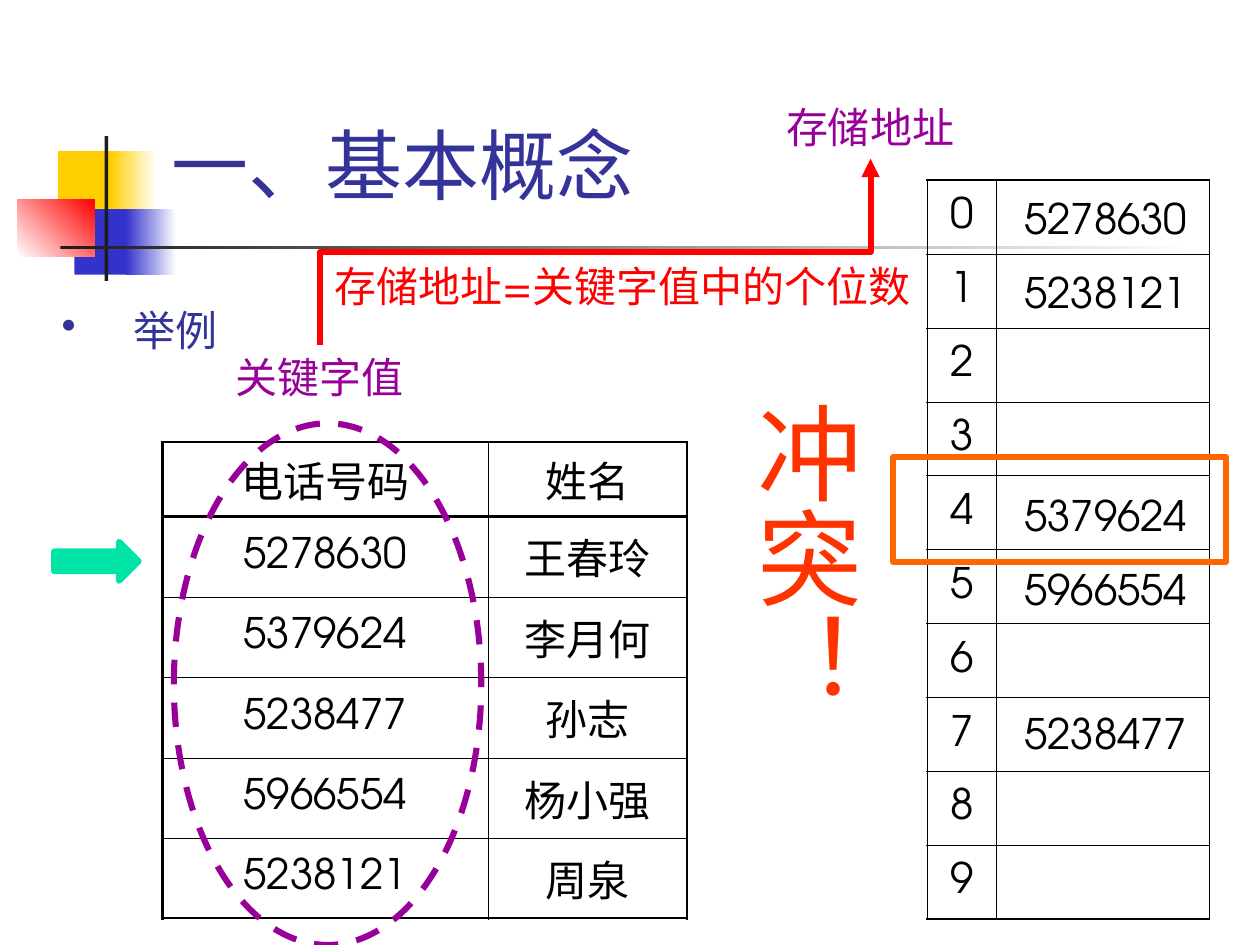
from typing import NamedTuple, Optional

from lxml import etree
from pptx import Presentation
from pptx import util as u
from pptx.dml.color import RGBColor
from pptx.enum import dml, shapes, text
from pptx.oxml.ns import qn

HUES = {
    "gold": "FFCF01", "blue": "3333CC", "red": "FF0000", "white": "FFFFFF",
    "ink": "1C1C1C", "navy": "333399", "purple": "990099", "black": "000000",
    "mint": "00E4A8", "orange": "FF6600", "alarm": "FF3300",
}
BODY, HEAD = "TeX Gyre Adventor", "Karla"
KIND, ALIGN = shapes.MSO_SHAPE, text.PP_ALIGN
MIDDLE = text.MSO_ANCHOR.MIDDLE


class Box(NamedTuple):
    x: float
    y: float
    w: float
    h: float

    def emu(self) -> list:
        return [u.Inches(v) for v in self]


class Form(NamedTuple):
    box: Box
    kind: int = KIND.RECTANGLE
    fill: Optional[str] = None
    fade: Optional[str] = None
    angle: float = 0
    line: Optional[str] = None
    dash: bool = False


class Label(NamedTuple):
    words: str
    box: Box
    hue: str
    size: float = 24
    font: str = BODY
    align: int = ALIGN.LEFT
    mid: bool = False
    wrap: bool = True
    upright: bool = False
    bullet: bool = False


class Grid(NamedTuple):
    box: Box
    cols: list
    rows: list
    cells: list
    thick: float
    thin: float
    header: bool = False


MARKS = [
    Form(Box(0.46, 1.2, 0.48, 0.52), fill="gold"),
    Form(Box(0.88, 1.2, 0.36, 0.52), fill="gold", fade="white"),
    Form(Box(0.59, 1.66, 0.46, 0.52), fill="blue"),
    Form(Box(1, 1.66, 0.4, 0.52), fill="blue", fade="white"),
    Form(Box(0.14, 1.58, 0.61, 0.46), fill="white", fade="red", angle=45),
    Form(Box(0.83, 1.08, 0.03, 1.15), fill="ink"),
    Form(Box(0.48, 1.95, 9, 0.03), fill="ink", fade="white"),
]
PHONES = Grid(
    Box(1.29, 3.51, 4.17, 3.78), [2.58, 1.58], [0.59] + [3.19 / 5] * 5,
    [("电话号码", "姓名"), ("5278630", "王春玲"), ("5379624", "李月何"),
     ("5238477", "孙志"), ("5966554", "杨小强"), ("5238121", "周泉")],
    1.47, 0.11, True)
SLOTS = Grid(
    Box(7.36, 1.43, 2.24, 5.87), [0.55, 1.69], [5.87 / 10] * 10,
    [(str(n), "") for n in range(10)], 1.08, 0.45)
STORED = {1.47: "5278630", 2.06: "5238121", 3.83: "5379624",
          4.42: "5966554", 5.56: "5238477"}
LABELS = [
    Label("举例", Box(0.39, 2.37, 9.05, 4.72), "navy", align=ALIGN.JUSTIFY, bullet=True),
    Label("一、基本概念", Box(1.26, 0.67, 8.52, 1.25), "navy", 44, HEAD, mid=True),
    Label("关键字值", Box(1.77, 2.74, 1.54, 0.5), "purple"),
    Label("存储地址", Box(6.14, 0.76, 1.54, 0.5), "purple"),
    Label("存储地址=关键字值中的个位数", Box(2.36, 2.02, 5.16, 0.5), "red", align=ALIGN.CENTER),
    Label("冲突！", Box(5.75, 3.08, 1.2, 3.07), "alarm", 60, upright=True),
] + [Label(key, Box(7.99, top, 1.57, 0.51), "black", align=ALIGN.CENTER, mid=True, wrap=False)
     for top, key in STORED.items()]
NOTES = [
    Form(Box(1.38, 3.36, 2.44, 4.14), KIND.OVAL, line="purple", dash=True),
    Form(Box(0.43, 4.3, 0.67, 0.31), KIND.RIGHT_ARROW, fill="mint", line="mint"),
    Form(Box(7.09, 3.63, 2.64, 0.83), line="orange"),
]


def tint(name: str) -> RGBColor:
    return RGBColor.from_string(HUES[name])


def write(para, words: str, hue: str, size: float = 24, font: str = BODY) -> None:
    run = para.add_run()
    run.text = words
    run.font.name = font
    run.font.size = u.Pt(size)
    run.font.color.rgb = tint(hue)


def form(slide, item: Form) -> None:
    shape = slide.shapes.add_shape(item.kind, *item.box.emu())
    shape.shadow.inherit = False
    if item.fade:
        shape.fill.gradient()
        shape.fill.gradient_angle = item.angle
        for stop, hue, pos in zip(shape.fill.gradient_stops, (item.fill, item.fade), (0, 1)):
            stop.color.rgb = tint(hue)
            stop.position = pos
    elif item.fill:
        shape.fill.solid()
        shape.fill.fore_color.rgb = tint(item.fill)
    else:
        shape.fill.background()
    if item.line:
        shape.line.color.rgb = tint(item.line)
        shape.line.width = u.Pt(3.5)
    else:
        shape.line.fill.background()
    if item.dash:
        shape.line.dash_style = dml.MSO_LINE.DASH


def label(slide, item: Label) -> None:
    frame = slide.shapes.add_textbox(*item.box.emu()).text_frame
    frame.word_wrap = item.wrap
    if item.mid:
        frame.vertical_anchor = MIDDLE
    if item.upright:
        frame._txBody.bodyPr.set("vert", "eaVert")
        frame.margin_left = frame.margin_right = u.Inches(0.05)
        frame.margin_top = frame.margin_bottom = u.Inches(0.1)
    para = frame.paragraphs[0]
    para.alignment = item.align
    if item.bullet:
        props = para._p.get_or_add_pPr()
        props.set("marL", str(u.Inches(0.57)))
        props.set("indent", str(-u.Inches(0.57)))
        etree.SubElement(props, qn("a:buChar")).set("char", "•")
    write(para, item.words, item.hue, item.size, item.font)


def edge(cell, side: str, width: float) -> None:
    line = etree.SubElement(cell._tc.get_or_add_tcPr(), qn(f"a:ln{side}"))
    line.set("w", str(u.Pt(width)))
    fill = etree.SubElement(line, qn("a:solidFill"))
    etree.SubElement(fill, qn("a:srgbClr")).set("val", HUES["black"])


def grid(slide, item: Grid) -> None:
    high, wide = len(item.rows), len(item.cols)
    table = slide.shapes.add_table(high, wide, *item.box.emu()).table
    table.first_row = table.horz_banding = False
    for col, width in zip(table.columns, item.cols):
        col.width = u.Inches(width)
    for r, size in enumerate(item.rows):
        table.rows[r].height = u.Inches(size)
        for c, words in enumerate(item.cells[r]):
            cell = table.cell(r, c)
            outer = {"L": c == 0, "R": c == wide - 1,
                     "T": r == 0 or (item.header and r == 1),
                     "B": r == high - 1 or (item.header and r == 0)}
            for side, bold in outer.items():
                edge(cell, side, item.thick if bold else item.thin)
            cell.fill.background()
            cell.vertical_anchor = MIDDLE
            para = cell.text_frame.paragraphs[0]
            para.alignment = ALIGN.CENTER
            if words:
                write(para, words, "black")


def elbow(slide, x1: float, y1: float, x2: float, y2: float) -> None:
    """Draw an arrow that rises, crosses and rises again, as a quarter-turned elbow."""
    mx, my = (x1 + x2) / 2, (y1 + y2) / 2
    dx, dy = (y1 - y2) / 2, (x2 - x1) / 2
    ends = [u.Inches(v) for v in (mx + dx, my + dy, mx - dx, my - dy)]
    link = slide.shapes.add_connector(shapes.MSO_CONNECTOR.ELBOW, *ends)
    link.line.color.rgb = tint("red")
    link.line.width = u.Pt(3.5)
    props = link._element.spPr
    props.find(qn("a:xfrm")).set("rot", str(90 * 60000))
    etree.SubElement(props.find(qn("a:ln")), qn("a:tailEnd")).set("type", "triangle")
    etree.SubElement(props, qn("a:effectLst"))


def main() -> None:
    deck = Presentation()
    deck.slide_width, deck.slide_height = u.Inches(10), u.Inches(7.5)
    slide = deck.slides.add_slide(deck.slide_layouts[6])
    for item in MARKS:
        form(slide, item)
    for item in (PHONES, SLOTS):
        grid(slide, item)
    elbow(slide, 2.54, 2.74, 6.91, 1.26)
    for item in LABELS:
        label(slide, item)
    for item in NOTES:
        form(slide, item)
    deck.save("out.pptx")


if __name__ == "__main__":
    main()
